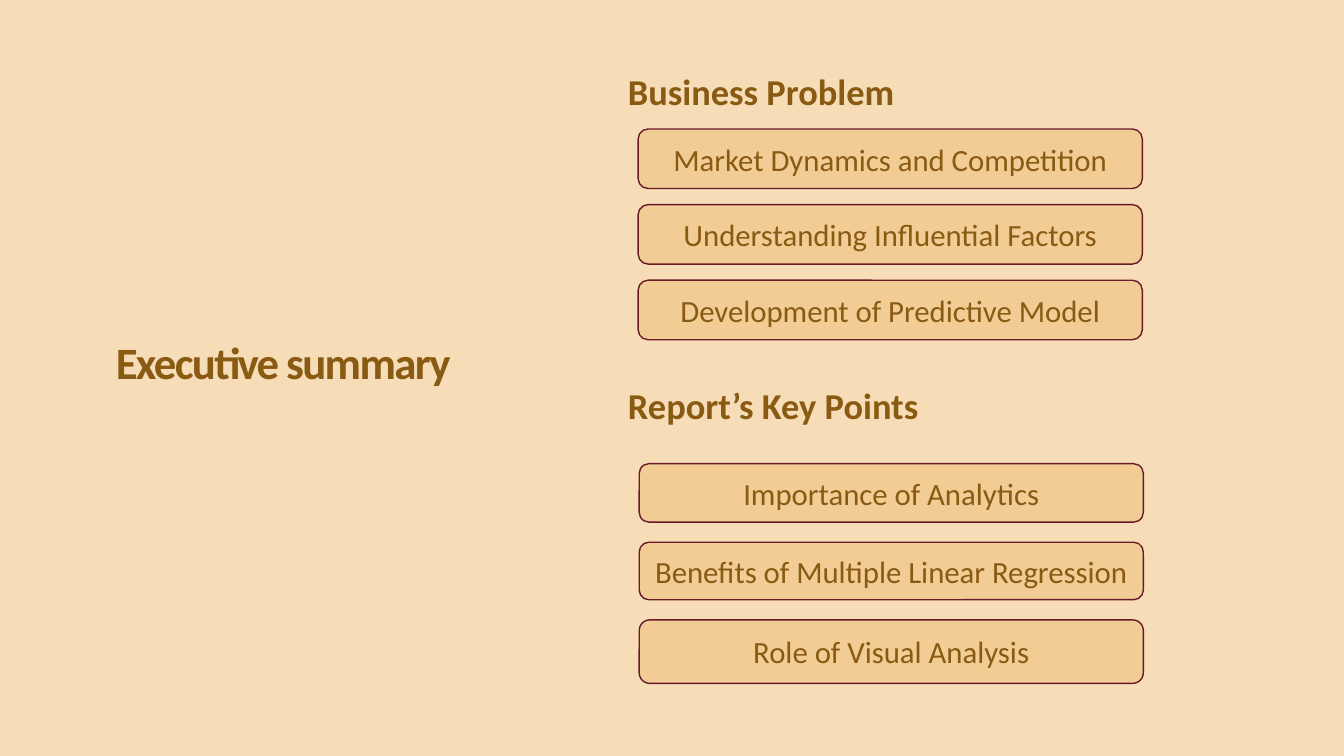
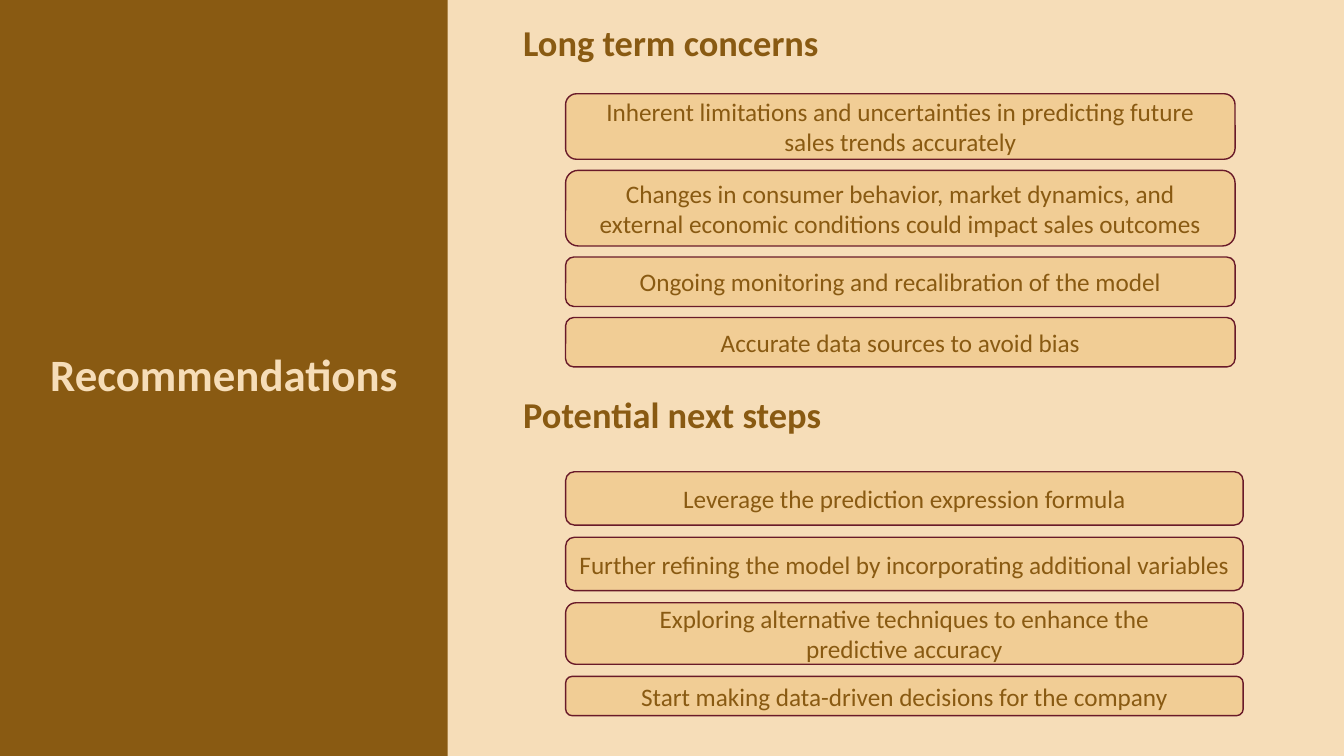
from pptx import Presentation
from pptx.dml.color import RGBColor
from pptx.enum.shapes import MSO_SHAPE as Shape
from pptx.enum.text import MSO_ANCHOR as Anchor, PP_ALIGN as Align
from pptx.util import Inches, Pt

BROWN, CREAM, SAND, MAROON = "895A12", "F6DDB8", "F1CD95", "691A29"
FONT = "Calibri"

# Positions and sizes are in inches; each card is (text, height).
SLIDES = [
    {
        "title": "Executive summary",
        "title_box": (1.05, 2.18, 3.63, 2.89),
        "title_color": BROWN,
        "title_spacing": -1.2,
        "panel_width": None,
        "heading_left": 6.13,
        "card_size": 22,
        "groups": [
            {
                "heading": "Business Problem", "heading_top": 0.64,
                "left": 6.33, "top": 1.28, "width": 5, "gap": 0.16,
                "cards": [
                    ("Market Dynamics and Competition", 0.59),
                    ("Understanding Influential Factors", 0.59),
                    ("Development of Predictive Model", 0.59),
                ],
            },
            {
                "heading": "Report’s Key Points", "heading_top": 3.75,
                "left": 6.34, "top": 4.6, "width": 5, "gap": 0.2,
                "cards": [
                    ("Importance of Analytics", 0.58),
                    ("Benefits of Multiple Linear Regression", 0.57),
                    ("Role of Visual Analysis", 0.63),
                ],
            },
        ],
    },
    {
        "title": "Recommendations",
        "title_box": (0.4, 1.02, 3.77, 5.45),
        "title_color": CREAM,
        "title_spacing": 0,
        "panel_width": 4.44,
        "heading_left": 5.09,
        "card_size": 18,
        "groups": [
            {
                "heading": "Long term concerns", "heading_top": 0.15,
                "left": 5.61, "top": 0.93, "width": 6.64, "gap": 0.11,
                "cards": [
                    ("Inherent limitations and uncertainties in predicting future\n"
                     "sales trends accurately", 0.65),
                    ("Changes in consumer behavior, market dynamics, and\n"
                     "external economic conditions could impact sales outcomes", 0.75),
                    ("Ongoing monitoring and recalibration of the model", 0.49),
                    ("Accurate data sources to avoid bias", 0.49),
                ],
            },
            {
                "heading": "Potential next steps", "heading_top": 3.84,
                "left": 5.61, "top": 4.68, "width": 6.72, "gap": 0.12,
                "cards": [
                    ("Leverage the prediction expression formula", 0.53),
                    ("Further refining the model by incorporating additional variables", 0.53),
                    ("Exploring alternative techniques to enhance the\n"
                     "predictive accuracy", 0.61),
                    ("Start making data-driven decisions for the company", 0.39),
                ],
            },
        ],
    },
]


def rgb(value):
    return RGBColor.from_string(value)


def write(shape, text, size, color, bold=False, align=Align.LEFT, anchor=Anchor.MIDDLE):
    """Fill a shape with one paragraph and return that paragraph."""
    frame = shape.text_frame
    frame.word_wrap = True
    frame.vertical_anchor = anchor
    para = frame.paragraphs[0]
    para.text = text
    para.alignment = align
    font = para.font
    font.name, font.size, font.bold = FONT, Pt(size), bold
    font.color.rgb = rgb(color)
    return para


def add_box(page, kind, box, fill, line=None):
    shape = page.shapes.add_shape(kind, *map(Inches, box))
    shape.shadow.inherit = False
    shape.fill.solid()
    shape.fill.fore_color.rgb = rgb(fill)
    if line:
        shape.line.color.rgb = rgb(line)
        shape.line.width = Pt(1)
    else:
        shape.line.fill.background()
    return shape


def add_title(page, content):
    box = page.shapes.add_textbox(*map(Inches, content["title_box"]))
    para = write(box, content["title"], 32, content["title_color"], bold=True)
    para.line_spacing = 0.85
    if content["title_spacing"]:
        properties = para.runs[0]._r.get_or_add_rPr()
        properties.set("spc", str(round(content["title_spacing"] * 100)))


def add_group(page, group, heading_left, card_size):
    """Add a heading and its cards, stacked with an equal gap."""
    heading_box = (heading_left, group["heading_top"], 3.88, 0.54)
    heading = page.shapes.add_textbox(*map(Inches, heading_box))
    write(heading, group["heading"], 26, BROWN, bold=True, anchor=Anchor.TOP)
    top = group["top"]
    for text, height in group["cards"]:
        box = (group["left"], top, group["width"], height)
        card = add_box(page, Shape.ROUNDED_RECTANGLE, box, SAND, MAROON)
        write(card, text, card_size, BROWN, align=Align.CENTER)
        top += height + group["gap"]


def main():
    deck = Presentation()
    deck.slide_width, deck.slide_height = Inches(13.33), Inches(7.5)
    for content in SLIDES:
        page = deck.slides.add_slide(deck.slide_layouts[6])
        page.background.fill.solid()
        page.background.fill.fore_color.rgb = rgb(CREAM)
        if content["panel_width"]:
            add_box(page, Shape.RECTANGLE, (0, 0, content["panel_width"], 7.5), BROWN)
        add_title(page, content)
        for group in content["groups"]:
            add_group(page, group, content["heading_left"], content["card_size"])
    deck.save("out.pptx")


if __name__ == "__main__":
    main()
